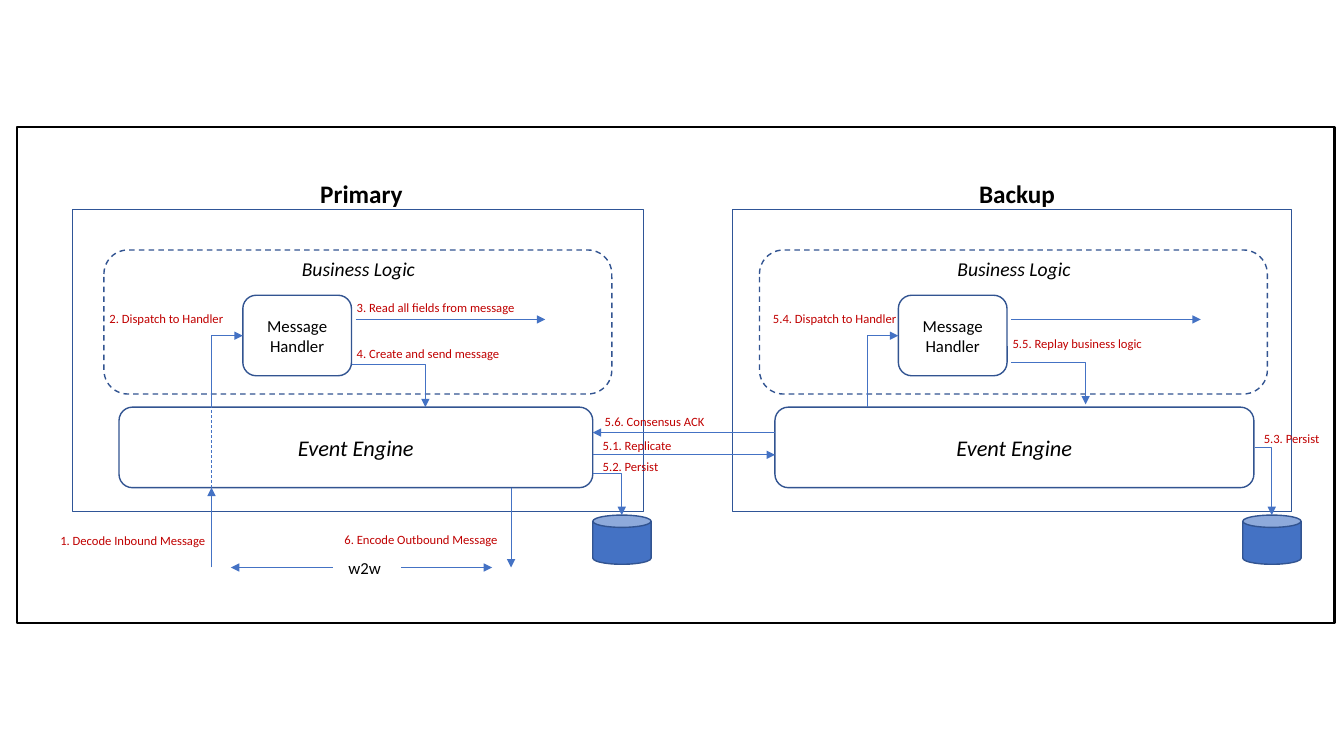
from lxml import etree
from pptx import Presentation
from pptx import util as u
from pptx.dml.color import RGBColor
from pptx.enum import dml, shapes, text
from pptx.oxml.ns import qn

Cm, Pt = u.Cm, u.Pt
BLACK = RGBColor(0, 0, 0)
WHITE = RGBColor(0xFF, 0xFF, 0xFF)
BLUE = RGBColor(0x44, 0x72, 0xC4)
EDGE = RGBColor(0x32, 0x54, 0x91)
NODE_EDGE = RGBColor(0x2F, 0x55, 0x97)
RED = RGBColor(0xC0, 0, 0)
RECT, ROUND, CAN = (shapes.MSO_SHAPE.RECTANGLE, shapes.MSO_SHAPE.ROUNDED_RECTANGLE,
                    shapes.MSO_SHAPE.CAN)
DASH = dml.MSO_LINE.DASH
CENTER = text.PP_ALIGN.CENTER

prs = Presentation()
prs.slide_width, prs.slide_height = Cm(33.87), Cm(19.05)
s = prs.slides.add_slide(prs.slide_layouts[6])


def box(kind, at, words="", line=EDGE, width=1, fill=None, dash=None,
        align=CENTER, **fmt):
    """Add a preset shape, or a text box when kind is None."""
    at = [Cm(v) for v in at]
    if kind is None:
        sp = s.shapes.add_textbox(*at)
    else:
        sp = s.shapes.add_shape(kind, *at)
        sp.shadow.inherit = False
        sp.line.color.rgb, sp.line.width = line, Pt(width)
        if dash:
            sp.line.dash_style = dash
        if fill is None:
            sp.fill.background()
        else:
            sp.fill.solid()
            sp.fill.fore_color.rgb = fill
    if words:
        tf = sp.text_frame
        tf.word_wrap = True
        p = tf.paragraphs[0]
        p.alignment = align
        r = p.add_run()
        r.text = words
        r.font.color.rgb = fmt.pop("color", BLACK)
        for name, value in {"name": "Calibri", **fmt}.items():
            setattr(r.font, name, value)


def link(x1, y1, x2, y2, arrow="tailEnd", elbow=False, dash=None):
    """Add a line; an elbow runs sideways first, then up or down."""
    kind = shapes.MSO_CONNECTOR.ELBOW if elbow else shapes.MSO_CONNECTOR.STRAIGHT
    cx = s.shapes.add_connector(kind, Cm(x1), Cm(y1), Cm(x2), Cm(y2))
    cx.line.color.rgb, cx.line.width = BLUE, Pt(0.5)
    if dash:
        cx.line.dash_style = dash
    spPr = cx._element.spPr
    if elbow:
        spPr.find(qn("a:prstGeom")).set("prst", "bentConnector2")
    if arrow:
        etree.SubElement(spPr.find(qn("a:ln")), qn("a:" + arrow), type="triangle")
    etree.SubElement(spPr, qn("a:effectLst"))


# Outer frame
box(RECT, (0.43, 3.2, 33.2, 12.5), line=BLACK, width=2, fill=WHITE)

# Primary and backup nodes: title, shift, node, engine, store
nodes = [
    ("Primary", 0, (1.83, 14.38), (3, 11.94), 14.94),
    ("Backup", 16.52, (18.44, 14.1), (19.53, 12.07), 31.32),
]
for title, dx, (node_x, node_w), (engine_x, engine_w), store_x in nodes:
    box(None, (5.82 + dx, 4.37, 6.58, 1.02), title, size=Pt(18), bold=True)
    box(RECT, (node_x, 5.26, node_w, 7.62), line=NODE_EDGE, width=0.25)
    box(ROUND, (2.62 + dx, 6.3, 12.8, 3.63), dash=DASH)
    box(None, (6.81 + dx, 6.35, 4.45, 0.86), "Business Logic", size=Pt(14), italic=True)
    box(ROUND, (6.12 + dx, 7.44, 2.74, 2.03), "Message Handler", size=Pt(12))
    box(ROUND, (engine_x, 10.26, engine_w, 2.03), "Event Engine", size=Pt(16), italic=True)
    box(CAN, (store_x, 12.98, 1.47, 1.24), fill=BLUE)
    link(6.12 + dx, 8.46, 5.33 + dx, 10.26, "headEnd", elbow=True)
    link(8.97 + dx, 8.05, 13.74 + dx, 8.05)

# Elbow arrows: sends into the engines, then writes to the stores
for ends in [(8.86, 9.19, 10.72, 10.26), (25.48, 9.14, 27.36, 10.19),
             (14.94, 11.94, 15.67, 12.98), (31.62, 11.28, 32.05, 12.98)]:
    link(*ends, elbow=True)

# Straight arrows: inbound, outbound, consensus, replication, wire to wire
for ends in [(5.33, 14.3, 5.33, 12.29), (12.88, 12.29, 12.88, 14.3),
             (19.53, 10.9, 14.94, 10.9), (14.94, 11.46, 19.53, 11.46),
             (10.11, 14.3, 12.4, 14.3), (8.38, 14.3, 5.82, 14.3)]:
    link(*ends)
link(5.33, 12.29, 5.33, 10.26, arrow=None, dash=DASH)
box(None, (8.53, 13.92, 1.5, 0.76), "w2w", align=None, size=Pt(12))

# Step labels
steps = [
    (1.27, 13.31, 4.37, "1. Decode Inbound Message"),
    (2.51, 7.7, 4.29, "2. Dispatch to Handler"),
    (8.74, 7.44, 4.75, "3. Read all fields from message"),
    (8.74, 8.59, 5.18, "4. Create and send message"),
    (14.94, 10.9, 3.76, "5.1. Replicate"),
    (14.94, 11.43, 3.76, "5.2. Persist"),
    (31.6, 10.74, 2.03, "5.3. Persist"),
    (19.23, 7.7, 3.71, "5.4. Dispatch to Handler"),
    (25.27, 8.33, 4.29, "5.5. Replay business logic"),
    (14.99, 10.31, 3.68, "5.6. Consensus ACK"),
    (8.43, 13.28, 4.65, "6. Encode Outbound Message"),
]
for x, y, w, words in steps:
    box(None, (x, y, w, 0.64), words, align=None, size=Pt(9), color=RED)

prs.save("out.pptx")
